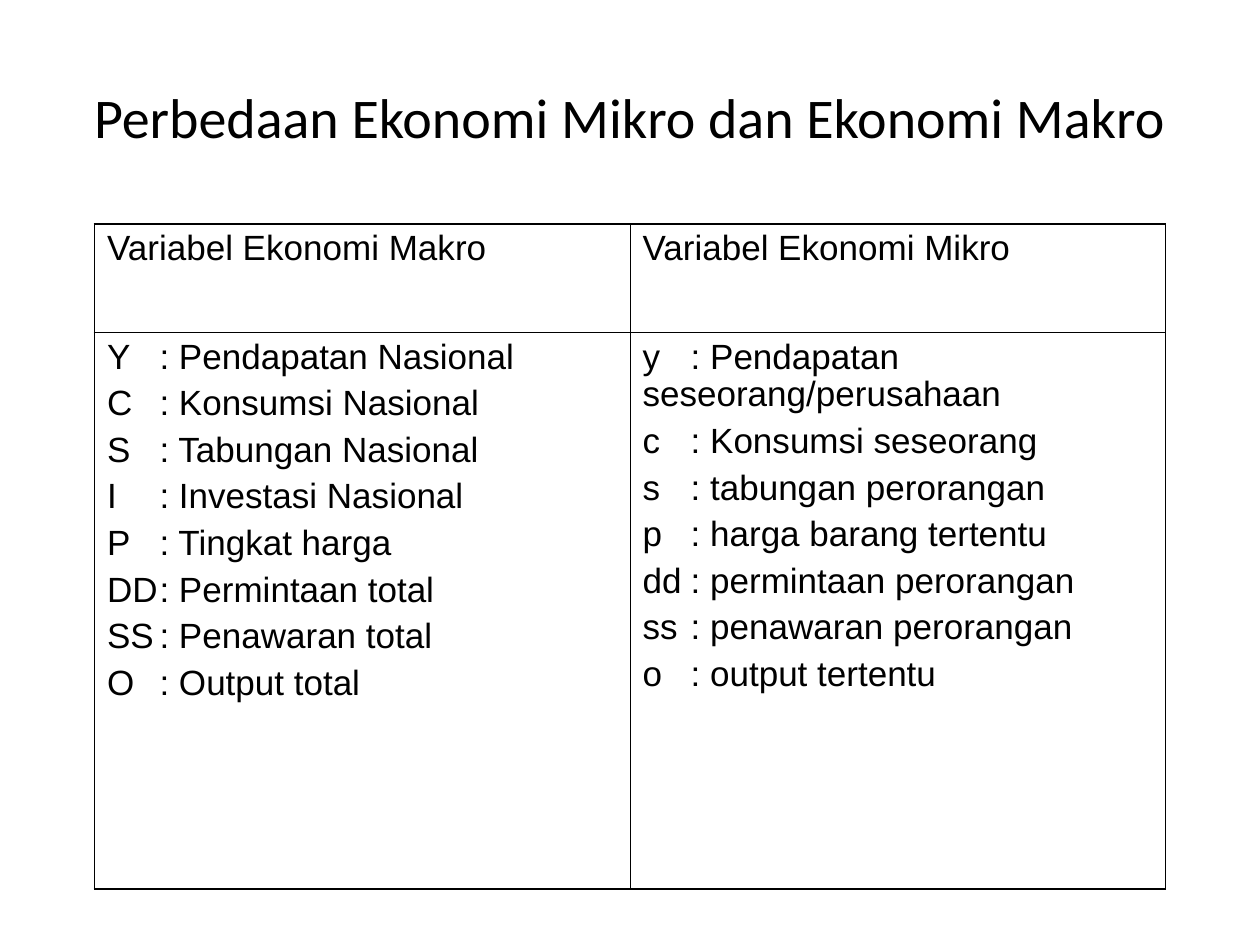
from lxml import etree
from pptx import Presentation
from pptx.dml.color import RGBColor
from pptx.enum.text import MSO_ANCHOR, PP_ALIGN
from pptx.oxml.ns import qn
from pptx.util import Pt

MIDDLE = MSO_ANCHOR.MIDDLE
CENTER = PP_ALIGN.CENTER

COLORS = {"text": "000000", "border": "000000"}
OUTER, INNER = Pt(1.08), Pt(0.45)

# Heading, tab position of the colons, and symbol/meaning pairs per column
COLUMNS = [
    ("Variabel Ekonomi Makro", Pt(30), [
        ("Y", "Pendapatan Nasional"),
        ("C", "Konsumsi Nasional"),
        ("S", "Tabungan Nasional"),
        ("I", "Investasi Nasional"),
        ("P", "Tingkat harga"),
        ("DD", "Permintaan total"),
        ("SS", "Penawaran total"),
        ("O", "Output total"),
    ]),
    ("Variabel Ekonomi Mikro", Pt(27.5), [
        ("y", "Pendapatan seseorang/perusahaan"),
        ("c", "Konsumsi seseorang"),
        ("s", "tabungan perorangan"),
        ("p", "harga barang tertentu"),
        ("dd", "permintaan perorangan"),
        ("ss", "penawaran perorangan"),
        ("o", "output tertentu"),
    ]),
]


def add_run(paragraph, text, font_name, size):
    run = paragraph.add_run()
    run.text = text
    run.font.name = font_name
    run.font.size = size
    run.font.color.rgb = RGBColor.from_string(COLORS["text"])


def add_border(cell, side, width):
    """Draw one side (L, R, T or B) of a cell; call in that order."""
    line = etree.SubElement(cell._tc.get_or_add_tcPr(), qn(f"a:ln{side}"), w=str(width))
    fill = etree.SubElement(line, qn("a:solidFill"))
    etree.SubElement(fill, qn("a:srgbClr"), val=COLORS["border"])


prs = Presentation()
prs.slide_width, prs.slide_height = Pt(720), Pt(540)
slide = prs.slides.add_slide(prs.slide_layouts[6])

title = slide.shapes.add_textbox(Pt(36), Pt(21.6), Pt(648), Pt(90)).text_frame
title.word_wrap = True
title.vertical_anchor = MIDDLE
title.paragraphs[0].alignment = CENTER
add_run(title.paragraphs[0], "Perbedaan Ekonomi Mikro dan Ekonomi Makro", "Calibri", Pt(32))

table = slide.shapes.add_table(2, 2, Pt(54), Pt(128), Pt(612), Pt(380)).table
table.first_row = False
table.horz_banding = False
table.rows[0].height, table.rows[1].height = Pt(62), Pt(318)

for col, (heading, colon_tab, variables) in enumerate(COLUMNS):
    entries = [f"{symbol}\t: {meaning}" for symbol, meaning in variables]
    for row, lines in enumerate([[heading], entries]):
        cell = table.cell(row, col)
        for side, is_outer in (("L", col == 0), ("R", col == 1), ("T", row == 0), ("B", row == 1)):
            add_border(cell, side, OUTER if is_outer else INNER)
        cell.fill.background()
        for index, line in enumerate(lines):
            frame = cell.text_frame
            paragraph = frame.add_paragraph() if index else frame.paragraphs[0]
            paragraph.line_spacing = 0.97
            if index:
                paragraph.space_before = Pt(5)
            if "\t" in line:
                tabs = etree.SubElement(paragraph._p.get_or_add_pPr(), qn("a:tabLst"))
                etree.SubElement(tabs, qn("a:tab"), pos=str(colon_tab), algn="l")
            add_run(paragraph, line, "Arial", Pt(20))

prs.save("out.pptx")
